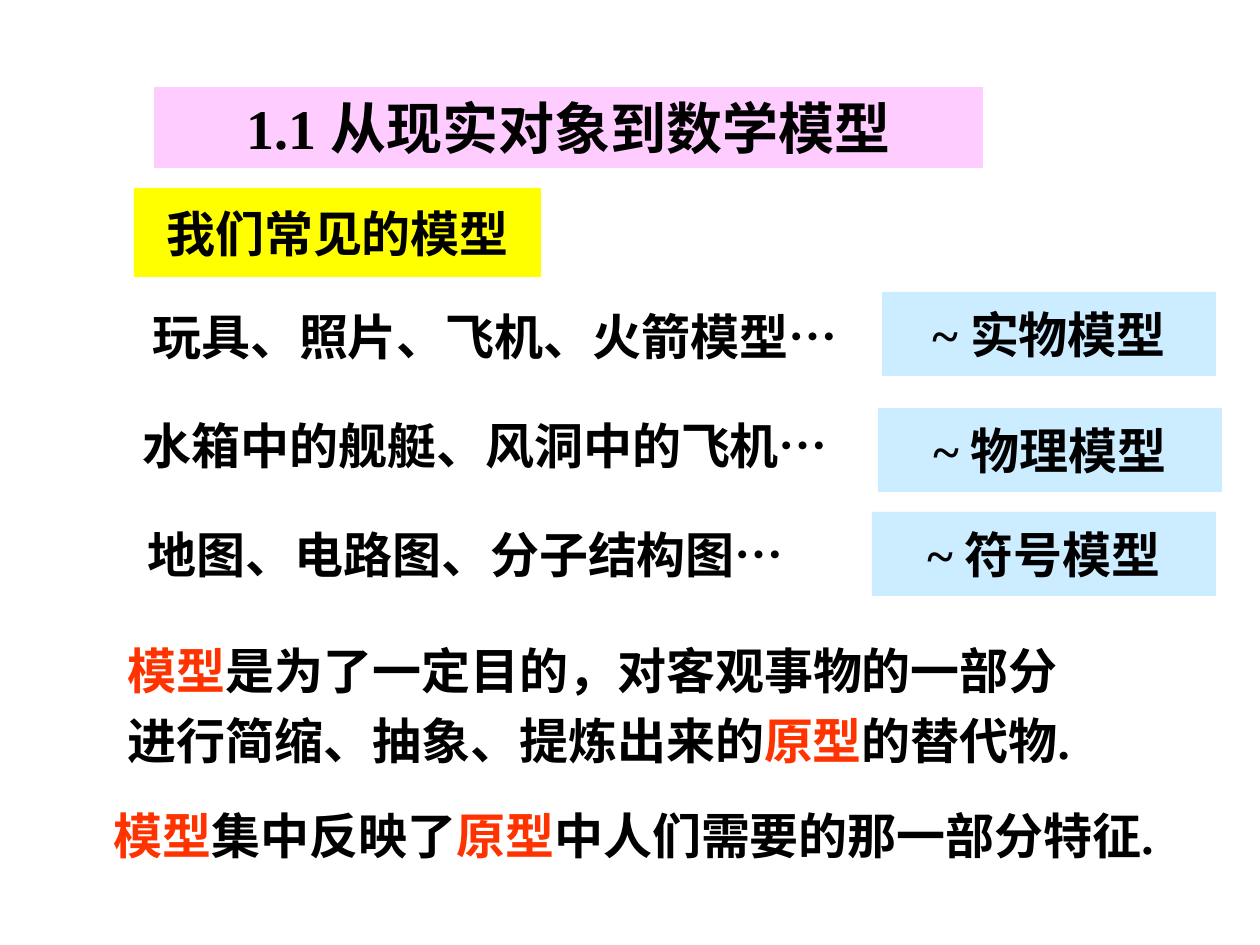
from dataclasses import dataclass

from lxml.etree import SubElement
from pptx import Presentation
from pptx.dml.color import RGBColor
from pptx.enum.shapes import MSO_SHAPE
from pptx.enum.text import MSO_ANCHOR, MSO_AUTO_SIZE, PP_ALIGN
from pptx.oxml.ns import qn
from pptx.util import Pt

SCALE = 914400 / 126


@dataclass(frozen=True)
class Theme:
    ink: str = "000000"
    mark: str = "FF3300"
    pink: str = "FFCCFF"
    yellow: str = "FFFF00"
    blue: str = "CCECFF"
    latin: str = "Times New Roman"
    han: str = "Noto Sans CJK SC"
    head: int = 32
    body: int = 28


def px(n):
    return round(n * SCALE)


def color(code):
    return RGBColor.from_string(code)


class Board:
    def __init__(self, slide, theme):
        self.slide = slide
        self.theme = theme

    def style(self, run, size, code, face=None):
        font = run.font
        font.name = face or self.theme.latin
        font.size = Pt(size)
        font.bold = True
        font.color.rgb = color(code)
        props = run._r.get_or_add_rPr()
        props.set("lang", "zh-CN")
        SubElement(props, qn("a:ea")).set("typeface", self.theme.han)

    def setup(self, frame, wrap=False):
        frame.word_wrap = wrap
        frame.auto_size = MSO_AUTO_SIZE.NONE
        frame.vertical_anchor = MSO_ANCHOR.MIDDLE

    def title(self, box, text):
        shape = self.slide.shapes.title
        shape.left, shape.top, shape.width, shape.height = map(px, box)
        shape.fill.solid()
        shape.fill.fore_color.rgb = color(self.theme.pink)
        frame = shape.text_frame
        frame.text = text
        self.setup(frame, True)
        line = frame.paragraphs[0]
        line.alignment = PP_ALIGN.CENTER
        self.style(line.runs[0], self.theme.head, self.theme.ink)

    def label(self, box, text, fill, face=None):
        shape = self.slide.shapes.add_shape(MSO_SHAPE.RECTANGLE, *map(px, box))
        shape.shadow.inherit = False
        shape.fill.solid()
        shape.fill.fore_color.rgb = color(fill)
        shape.line.fill.background()
        frame = shape.text_frame
        frame.text = text
        self.setup(frame)
        line = frame.paragraphs[0]
        line.alignment = PP_ALIGN.CENTER
        self.style(line.runs[0], self.theme.body, self.theme.ink, face)

    def text(self, box, lines, align=PP_ALIGN.CENTER, space=1.0, inset=13):
        frame = self.slide.shapes.add_textbox(*map(px, box)).text_frame
        self.setup(frame)
        frame.margin_left = px(inset)
        for i, words in enumerate(lines):
            line = frame.add_paragraph() if i else frame.paragraphs[0]
            line.alignment = align
            line.line_spacing = space
            for j, part in enumerate(words.split("*")):
                if part:
                    run = line.add_run()
                    run.text = part
                    code = self.theme.mark if j % 2 else self.theme.ink
                    self.style(run, self.theme.body, code)


def main():
    deck = Presentation()
    deck.slide_width, deck.slide_height = px(1260), px(945)
    theme = Theme()
    board = Board(deck.slides.add_slide(deck.slide_layouts[5]), theme)

    board.title((154, 87, 829, 81), "1.1 从现实对象到数学模型")
    board.label((134, 188, 407, 89), "我们常见的模型", theme.yellow, theme.han)

    rows = [
        ((0, 289, 926, 94), "玩具、照片、飞机、火箭模型…", 76,
         (882, 292, 334, 84), "~ 实物模型"),
        ((32, 398, 906, 94), "水箱中的舰艇、风洞中的飞机…", 13,
         (878, 408, 344, 84), "~ 物理模型"),
        ((32, 512, 867, 84), "地图、电路图、分子结构图…", 13,
         (872, 512, 344, 84), "~ 符号模型"),
    ]
    for place, items, inset, spot, kind in rows:
        board.text(place, [items], inset=inset)
        board.label(spot, kind, theme.blue)

    board.text(
        (115, 620, 992, 158),
        ["*模型*是为了一定目的，对客观事物的一部分",
         "进行简缩、抽象、提炼出来的*原型*的替代物."],
        PP_ALIGN.LEFT, 1.2,
    )
    board.text((32, 788, 1203, 94),
               ["*模型*集中反映了*原型*中人们需要的那一部分特征."])

    deck.save("out.pptx")


if __name__ == "__main__":
    main()
